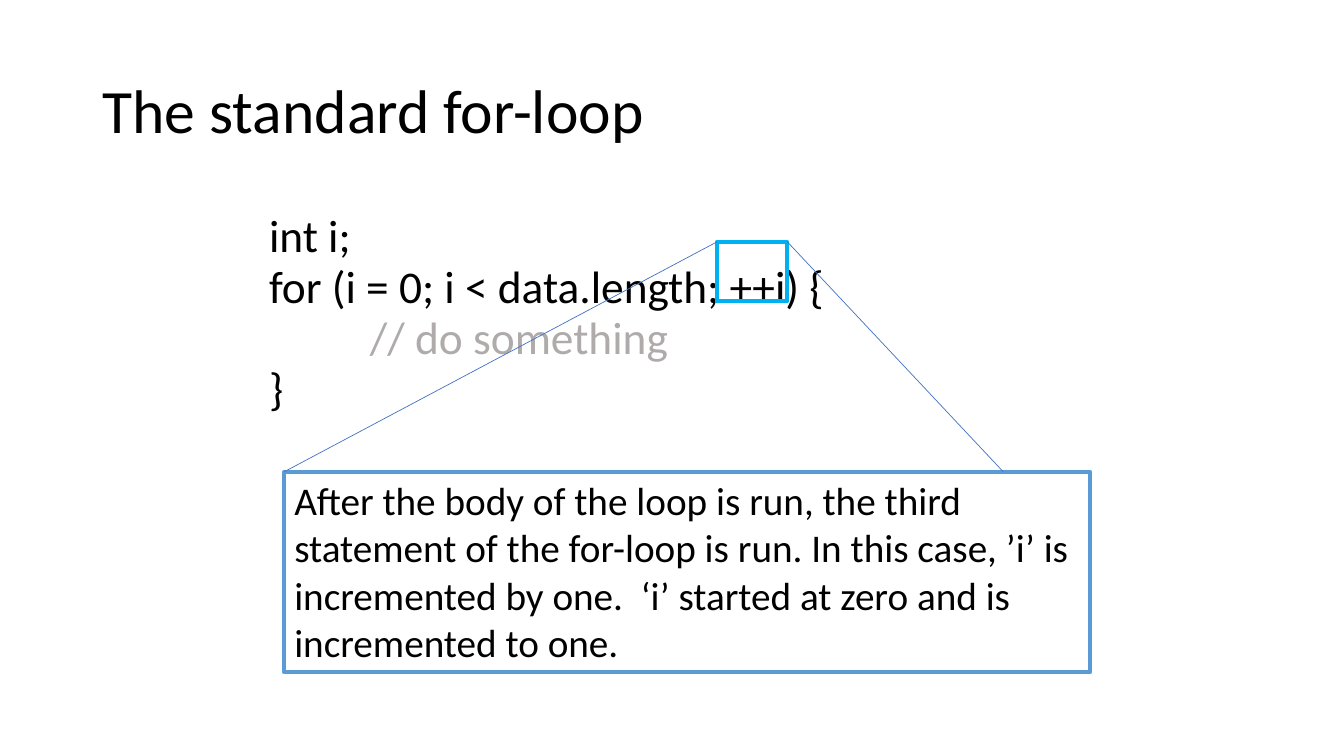
from dataclasses import dataclass

from lxml.etree import SubElement
from pptx import Presentation
from pptx.dml.color import RGBColor
from pptx.enum.shapes import MSO_CONNECTOR, MSO_SHAPE
from pptx.enum.text import MSO_ANCHOR, PP_ALIGN
from pptx.oxml.ns import qn
from pptx.shapes.autoshape import Shape
from pptx.slide import Slide
from pptx.text.text import TextFrame
from pptx.util import Inches, Pt


@dataclass(frozen=True)
class Theme:
    font: str = "Calibri"
    ink: str = "000000"
    comment: str = "AFABAB"
    highlight: str = "00B0F0"
    callout: str = "5B9BD5"
    guide: str = "4472C4"
    title_size: float = 44
    code_size: float = 32.4
    callout_size: float = 28
    frame_width: float = 3
    guide_width: float = 0.5


@dataclass(frozen=True)
class Area:
    left: float
    top: float
    width: float
    height: float

    @property
    def right(self) -> float:
        return self.left + self.width

    def lengths(self) -> tuple:
        return tuple(Inches(value) for value in (self.left, self.top, self.width, self.height))


@dataclass(frozen=True)
class CodeLine:
    text: str
    color: str
    depth: int = 1


@dataclass(frozen=True)
class Guide:
    start: tuple[float, float]
    end: tuple[float, float]


THEME = Theme()
TITLE = Area(0.92, 0.4, 11.5, 1.45)
CODE = Area(1.57, 2.15, 11.5, 2.1)
INCREMENT = Area(7.11, 2.4, 0.7, 0.59)
CALLOUT = Area(2.82, 4.68, 7.99, 1.99)
CODE_LINES = [
    CodeLine("int i;", THEME.ink),
    CodeLine("for (i = 0; i < data.length; ++i) {", THEME.ink),
    CodeLine("// do something", THEME.comment, depth=2),
    CodeLine("}", THEME.ink),
]
GUIDES = [
    Guide((INCREMENT.left, INCREMENT.top), (CALLOUT.left, CALLOUT.top)),
    Guide((INCREMENT.right, INCREMENT.top), (9.95, CALLOUT.top)),
]
EXPLANATION = (
    "After the body of the loop is run, the third statement of the for-loop is run. "
    "In this case, ’i’ is incremented by one.  ‘i’ started at zero and is incremented to one."
)


def write_text(frame: TextFrame, text: str, *, size: float, color: str = THEME.ink,
               line_spacing: float = 1.0, space_before: float = 0, indent: float = 0,
               first: bool = True) -> None:
    para = frame.paragraphs[0] if first else frame.add_paragraph()
    para.alignment = PP_ALIGN.LEFT
    para.line_spacing = line_spacing
    para.space_before = Pt(space_before)
    if indent:
        para._p.get_or_add_pPr().set("marL", str(Inches(indent)))
    span = para.add_run()
    span.text = text
    span.font.name = THEME.font
    span.font.size = Pt(size)
    span.font.color.rgb = RGBColor.from_string(color)


def add_text_frame(slide: Slide, area: Area, anchor: MSO_ANCHOR) -> TextFrame:
    frame = slide.shapes.add_textbox(*area.lengths()).text_frame
    frame.word_wrap = True
    frame.vertical_anchor = anchor
    return frame


def add_outline(slide: Slide, area: Area, color: str) -> Shape:
    box = slide.shapes.add_shape(MSO_SHAPE.RECTANGLE, *area.lengths())
    box.shadow.inherit = False
    box.fill.background()
    box.line.color.rgb = RGBColor.from_string(color)
    box.line.width = Pt(THEME.frame_width)
    return box


def add_guide(slide: Slide, guide: Guide) -> None:
    ends = [Inches(value) for value in guide.start + guide.end]
    connector = slide.shapes.add_connector(MSO_CONNECTOR.STRAIGHT, *ends)
    connector.line.color.rgb = RGBColor.from_string(THEME.guide)
    connector.line.width = Pt(THEME.guide_width)
    SubElement(connector._element.spPr, qn("a:effectLst"))


def main() -> None:
    deck = Presentation()
    deck.slide_width, deck.slide_height = Inches(13.33), Inches(7.5)
    slide = deck.slides.add_slide(deck.slide_layouts[6])

    title = add_text_frame(slide, TITLE, MSO_ANCHOR.MIDDLE)
    write_text(title, "The standard for-loop", size=THEME.title_size, line_spacing=0.9)

    code = add_text_frame(slide, CODE, MSO_ANCHOR.TOP)
    for index, line in enumerate(CODE_LINES):
        write_text(code, line.text, size=THEME.code_size, color=line.color, line_spacing=0.7,
                   space_before=9.3 if index else 0, indent=line.depth, first=index == 0)

    add_outline(slide, INCREMENT, THEME.highlight)
    callout = add_outline(slide, CALLOUT, THEME.callout).text_frame
    callout.word_wrap = True
    callout.vertical_anchor = MSO_ANCHOR.TOP
    write_text(callout, EXPLANATION, size=THEME.callout_size)

    for guide in GUIDES:
        add_guide(slide, guide)
    deck.save("out.pptx")


if __name__ == "__main__":
    main()
